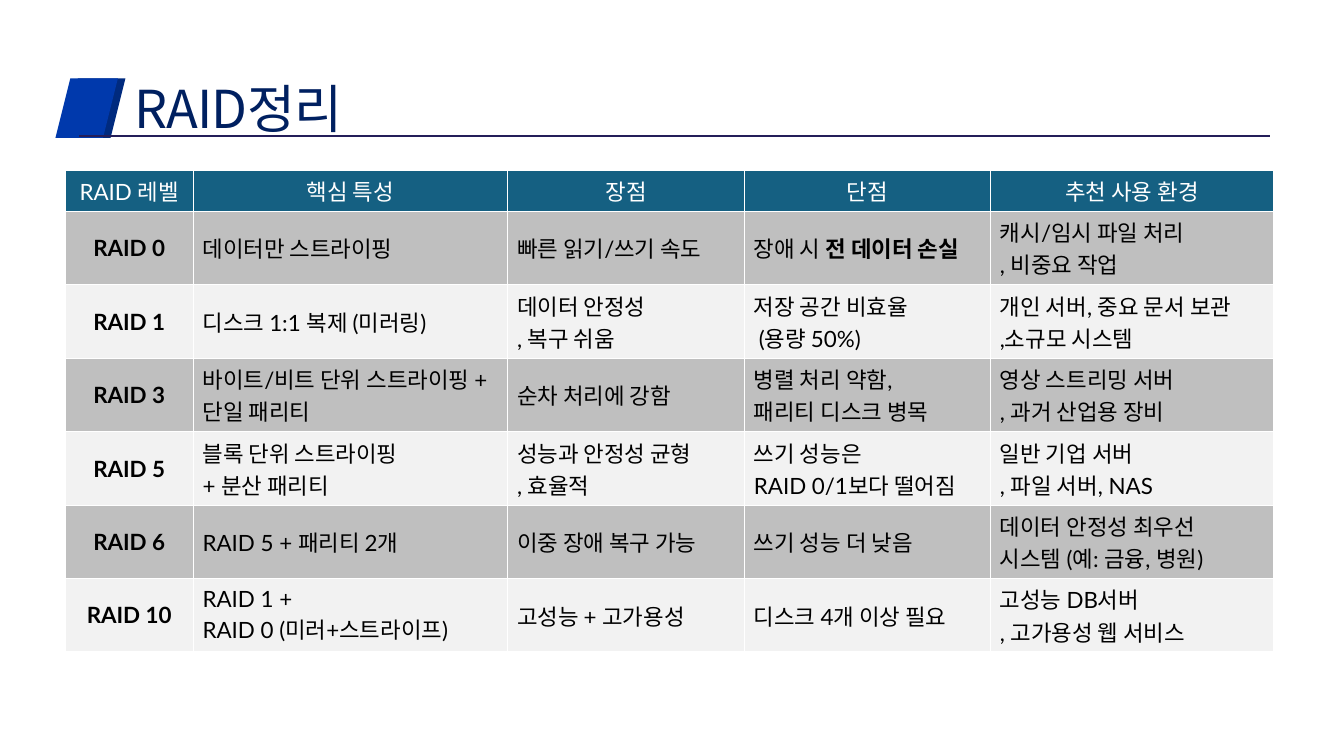
from copy import deepcopy
from dataclasses import dataclass

from lxml.etree import SubElement
from pptx import Presentation
from pptx.dml.color import RGBColor
from pptx.enum.shapes import MSO_CONNECTOR, MSO_SHAPE
from pptx.enum.text import MSO_ANCHOR, MSO_AUTO_SIZE, PP_ALIGN
from pptx.oxml.ns import qn
from pptx.util import Pt


@dataclass(frozen=True)
class Theme:
    title: str = "002060"
    badge: str = "0039AC"
    badge_shade: str = "002A7E"
    rule: str = "241E59"
    header: str = "156082"
    header_text: str = "FFFFFF"
    body_text: str = "000000"
    bands: tuple = ("BFBFBF", "F2F2F2")
    latin: str = "Lato"
    korean: str = "Noto Sans CJK KR"
    title_size: float = 37.3
    table_size: float = 16


THEME = Theme()

COLUMN_WIDTHS = (91.4, 224.6, 169.2, 175.7, 202.3)
HEADER_HEIGHT, ROW_HEIGHT = 29.3, 52.3
HEADERS = ("RAID 레벨", "핵심 특성", "장점", "단점", "추천 사용 환경")
LEVELS = (
    ("RAID 0", "데이터만 스트라이핑", "빠른 읽기/쓰기 속도",
     "장애 시 **전 데이터 손실", "캐시/임시 파일 처리\n, 비중요 작업"),
    ("RAID 1", "디스크 1:1 복제 (미러링)", "데이터 안정성\n, 복구 쉬움",
     "저장 공간 비효율\n (용량 50%)", "개인 서버, 중요 문서 보관\n,소규모 시스템"),
    ("RAID 3", "바이트/비트 단위 스트라이핑 + 단일 패리티", "순차 처리에 강함",
     "병렬 처리 약함,\n패리티 디스크 병목", "영상 스트리밍 서버\n, 과거 산업용 장비"),
    ("RAID 5", "블록 단위 스트라이핑\n+ 분산 패리티", "성능과 안정성 균형\n, 효율적",
     "쓰기 성능은\nRAID 0/1보다 떨어짐", "일반 기업 서버\n, 파일 서버, NAS"),
    ("RAID 6", "RAID 5 + 패리티 2개", "이중 장애 복구 가능",
     "쓰기 성능 더 낮음", "데이터 안정성 최우선\n시스템 (예: 금융, 병원)"),
    ("RAID 10", "RAID 1 +\nRAID 0 (미러+스트라이프)", "고성능 + 고가용성",
     "디스크 4개 이상 필요", "고성능 DB서버\n, 고가용성 웹 서비스"),
)


def rgb(color):
    return RGBColor.from_string(color)


def write_text(tf, text, *, size, color, font, bold=False, align=PP_ALIGN.LEFT,
               line_spacing=None, tracking=None):
    p = tf.paragraphs[0]
    p.alignment = align
    if line_spacing:
        p.line_spacing = line_spacing
    for part_no, part in enumerate(text.split("**")):
        for line_no, line in enumerate(part.split("\n")):
            if line_no:
                p.add_line_break()
                p._p[-1].append(deepcopy(r._r.rPr))
            r = p.add_run()
            r.text = line
            r.font.size = Pt(size)
            r.font.name = font
            r.font.bold = bold or part_no == 1
            r.font.color.rgb = rgb(color)
            rPr = r._r.get_or_add_rPr()
            SubElement(rPr, qn("a:ea")).set("typeface", THEME.korean)
            if tracking:
                rPr.set("spc", str(round(tracking * 100)))


def add_badge(s, left, color):
    sp = s.shapes.add_shape(MSO_SHAPE.PARALLELOGRAM, Pt(left), Pt(56), Pt(44.6), Pt(42.5))
    sp.shadow.inherit = False
    sp.fill.solid()
    sp.fill.fore_color.rgb = rgb(color)
    sp.line.fill.background()


def add_rule(s, left, right, y):
    line = s.shapes.add_connector(MSO_CONNECTOR.STRAIGHT, Pt(left), Pt(y), Pt(right), Pt(y))
    line.line.color.rgb = rgb(THEME.rule)
    line.line.width = Pt(1.5)
    SubElement(line._element.spPr, qn("a:effectLst"))


def set_title(s, text):
    sp = s.shapes.title
    sp.left, sp.top, sp.width, sp.height = Pt(90), Pt(55.4), Pt(816.5), Pt(42.5)
    tf = sp.text_frame
    tf.auto_size = MSO_AUTO_SIZE.NONE
    tf.vertical_anchor = MSO_ANCHOR.MIDDLE
    tf.margin_left = tf.margin_right = tf.margin_top = Pt(6)
    tf.margin_bottom = Pt(0)
    write_text(tf, text, size=THEME.title_size, color=THEME.title, font=THEME.korean,
               line_spacing=0.9, tracking=-0.7)


def fill_cell(cell, text, fill, **text_format):
    cell.fill.solid()
    cell.fill.fore_color.rgb = rgb(fill)
    cell.vertical_anchor = MSO_ANCHOR.MIDDLE
    cell.margin_left = cell.margin_right = Pt(6.75)
    cell.margin_top = cell.margin_bottom = Pt(3.2)
    write_text(cell.text_frame, text, size=THEME.table_size, font=THEME.latin, **text_format)


def add_level_table(s, left, top):
    height = HEADER_HEIGHT + ROW_HEIGHT * len(LEVELS)
    table = s.shapes.add_table(len(LEVELS) + 1, len(HEADERS), Pt(left), Pt(top),
                               Pt(sum(COLUMN_WIDTHS)), Pt(height)).table
    for column, width in zip(table.columns, COLUMN_WIDTHS):
        column.width = Pt(width)
    for row_no, (row, texts) in enumerate(zip(table.rows, (HEADERS, *LEVELS))):
        is_header = row_no == 0
        row.height = Pt(HEADER_HEIGHT if is_header else ROW_HEIGHT)
        fill = THEME.header if is_header else THEME.bands[(row_no - 1) % 2]
        color = THEME.header_text if is_header else THEME.body_text
        for col_no, (cell, text) in enumerate(zip(row.cells, texts)):
            centered = is_header or col_no == 0
            fill_cell(cell, text, fill, color=color, bold=col_no == 0 and not is_header,
                      align=PP_ALIGN.CENTER if centered else PP_ALIGN.LEFT)


def main():
    prs = Presentation()
    prs.slide_width, prs.slide_height = Pt(960), Pt(540)
    s = prs.slides.add_slide(prs.slide_layouts[5])
    add_badge(s, 45, THEME.badge_shade)
    add_badge(s, 39.6, THEME.badge)
    add_rule(s, 56.5, 907, 97)
    set_title(s, "RAID정리")
    add_level_table(s, 46.6, 121.5)
    prs.save("out.pptx")


if __name__ == "__main__":
    main()
